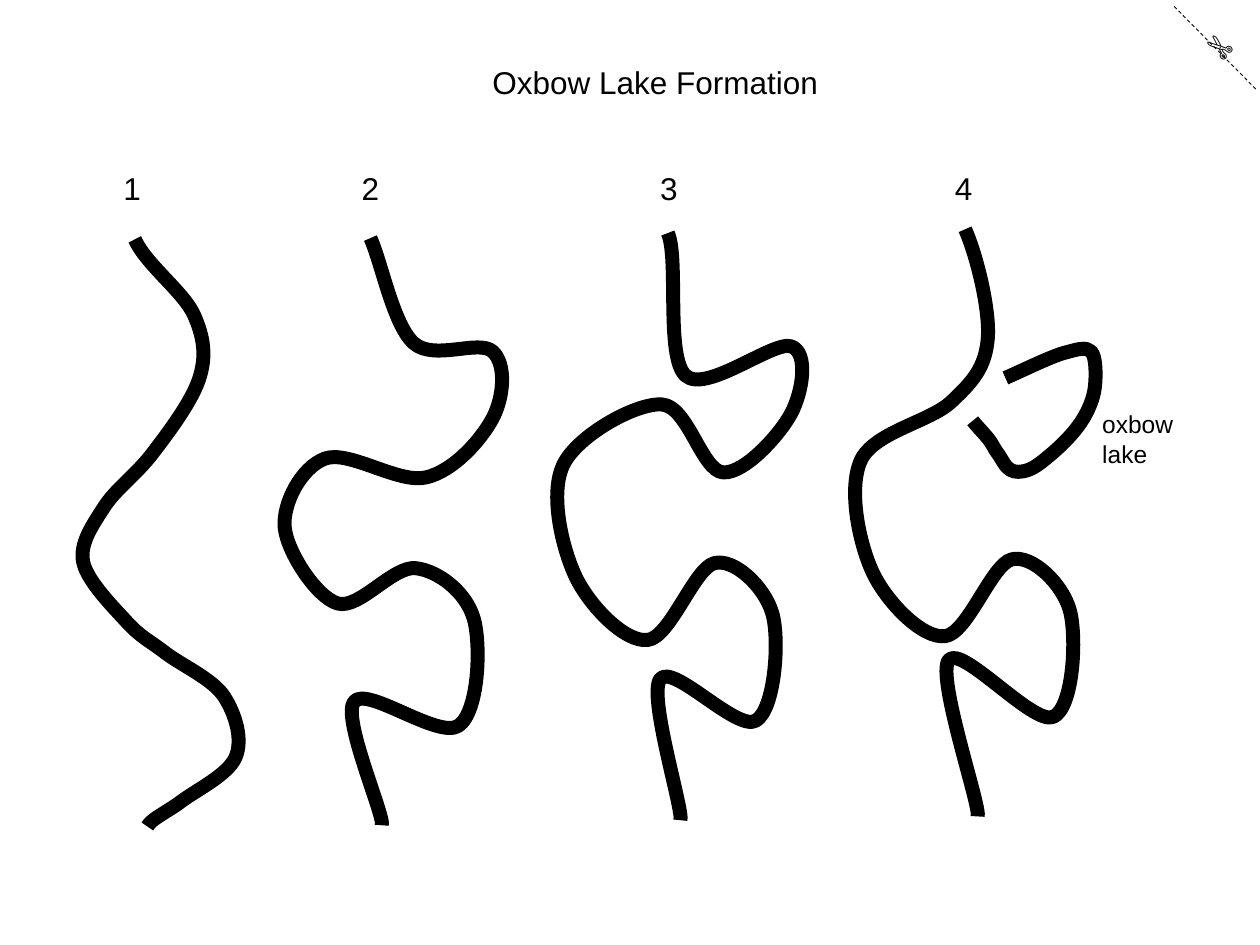
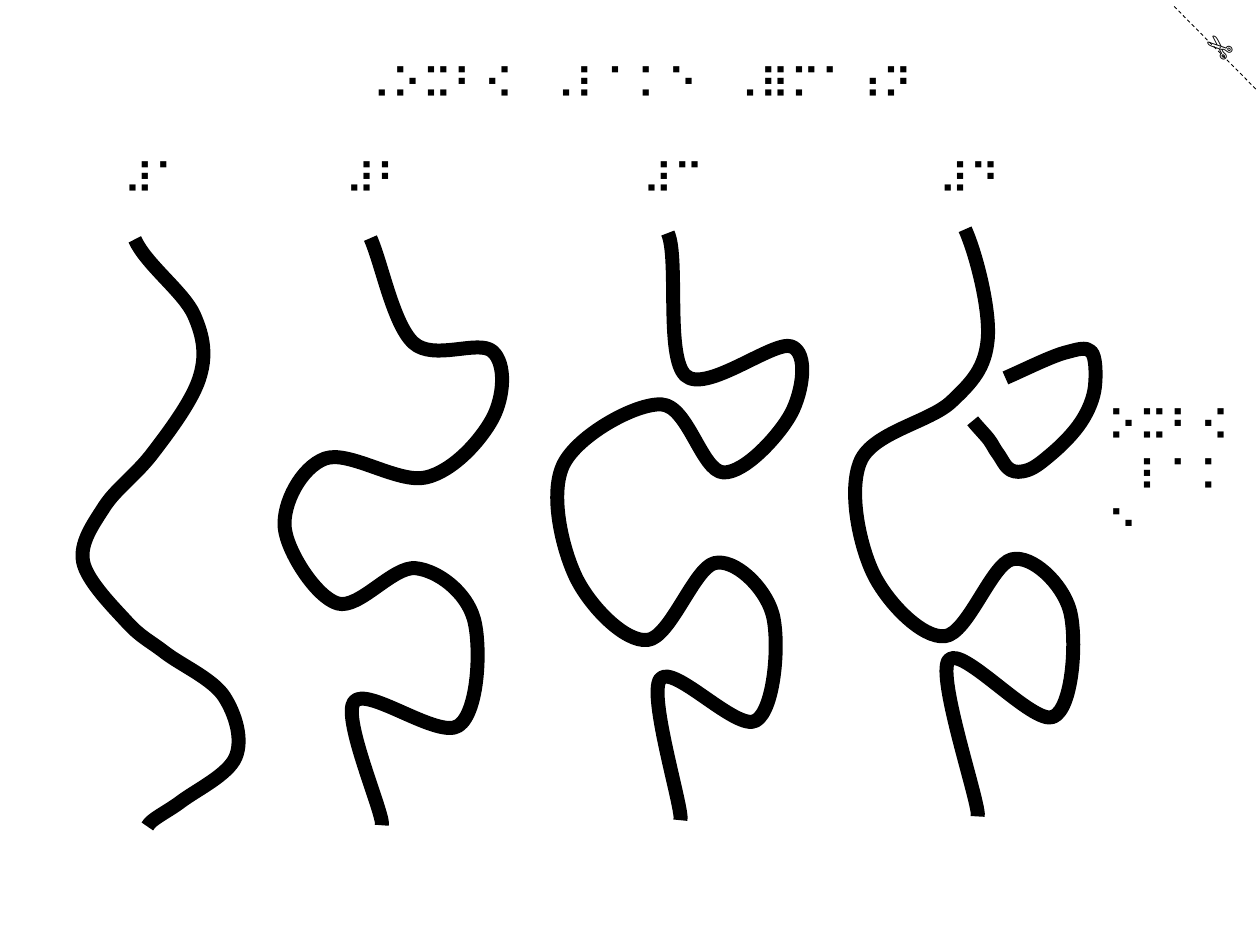
from lxml import etree
from pptx import Presentation
from pptx import util as u
from pptx.dml.color import RGBColor
from pptx.enum import dml, shapes, text
from pptx.oxml import ns

INK = {"line": "000000", "text": "000000", "page": "FFFFFF"}


def shift(points, right, down):
    return [(x + right, y + down) for x, y in points]


BEND = [(447, 369), (457, 458), (514, 508), (567, 447), (613, 487), (600, 572)]
RIVERS = [
    [(107, 190), (154, 250), (158, 301), (121, 360), (83, 402), (66, 446),
     (101, 494), (131, 518), (178, 553), (187, 601), (144, 636), (117, 656)],
    [(294, 189), (328, 272), (391, 279), (391, 332), (338, 379), (258, 364),
     (226, 419), (268, 479), (330, 451), (376, 491), (364, 576), (281, 557),
     (303, 655)],
    [(530, 185), (544, 298), (628, 275), (628, 328), (574, 375), (525, 321),
     *BEND, (524, 539), (540, 651)],
    [(766, 182), (784, 269), (755, 319), *shift(BEND, 236, -3), (753, 524), (776, 648)],
]
OXBOW = [(798, 300), (845, 280), (866, 279), (869, 307), (858, 335), (836, 359),
         (816, 373), (802, 373), (792, 360), (785, 349), (772, 334)]


def bends(knots, lead, tail):
    last = len(knots) - 1
    slopes = [
        tuple((b - a) / 6 for a, b in zip(knots[max(i - 1, 0)], knots[min(i + 1, last)]))
        for i in range(last + 1)
    ]
    slopes[0] = lead or tuple(2 * d for d in slopes[0])
    slopes[-1] = tail or tuple(2 * d for d in slopes[-1])
    for i in range(last):
        (x, y), (dx, dy) = knots[i], slopes[i]
        (nx, ny), (ex, ey) = knots[i + 1], slopes[i + 1]
        yield (x + dx, y + dy), (nx - ex, ny - ey), (nx, ny)


def write(box, words, font="Arial", size=18, align=None, wrap=True):
    frame = box.text_frame
    frame.word_wrap = wrap
    frame.auto_size = text.MSO_AUTO_SIZE.SHAPE_TO_FIT_TEXT
    para = frame.paragraphs[0]
    para.alignment = align
    run = para.add_run()
    run.text = words
    run.font.name = font
    run.font.size = u.Pt(size)
    run.font.color.rgb = RGBColor.from_string(INK["text"])


class Page:
    def __init__(self, deck, font, size):
        self.slide = deck.slides.add_slide(deck.slide_layouts[6])
        fill = self.slide.background.fill
        fill.solid()
        fill.fore_color.rgb = RGBColor.from_string(INK["page"])
        self.style = {"font": font, "size": size}

    def label(self, words, area, turn=0, **style):
        box = self.slide.shapes.add_textbox(*map(u.Cm, area))
        box.rotation = turn
        write(box, words, **{**self.style, **style})

    def title(self, words, area):
        self.label(words, area, align=text.PP_ALIGN.CENTER)

    def stroke(self, item, width):
        item.line.color.rgb = RGBColor.from_string(INK["line"])
        item.line.width = u.Pt(width)

    def corner(self, font):
        ends = map(u.Cm, (23.67, 0.13, 25.35, 1.83))
        cut = self.slide.shapes.add_connector(shapes.MSO_CONNECTOR.STRAIGHT, *ends)
        self.stroke(cut, 0.5)
        cut.line.dash_style = dml.MSO_LINE.DASH
        etree.SubElement(cut._element.spPr, ns.qn("a:effectLst"))
        self.label("✄", (24.03, 0.46, 1.07, 1.02), turn=220.5, font=font, size=18)

    def curve(self, home, knots, lead=None, tail=None):
        left, top = (min(axis) for axis in zip(*knots))
        pen = home.build_freeform(*knots[0], scale=u.Cm(2.54) / 100)
        pen.add_line_segments(knots[1:], close=False)
        item = pen.convert_to_shape()
        legs = list(item._element.iter(ns.qn("a:lnTo")))
        for leg, points in zip(legs, bends(knots, lead, tail)):
            bend = etree.Element(ns.qn("a:cubicBezTo"))
            for x, y in points:
                etree.SubElement(bend, ns.qn("a:pt"),
                                 x=str(round(x - left)), y=str(round(y - top)))
            leg.getparent().replace(leg, bend)
        item.shadow.inherit = False
        item.fill.background()
        self.stroke(item, 8)

    def rivers(self):
        group = self.slide.shapes.add_group_shape()
        for knots in RIVERS:
            self.curve(group.shapes, knots, lead=(9, 20), tail=(-3, 6))
        self.curve(self.slide.shapes, OXBOW)


def main():
    deck = Presentation()
    deck.slide_width, deck.slide_height = u.Cm(25.4), u.Cm(19.05)

    page = Page(deck, "Arial", 18)
    page.corner("Arial")
    page.title("Oxbow Lake Formation", (7.19, 1.14, 12.04, 1.02))
    page.rivers()
    for mark, left in zip("1234", (2.24, 7.04, 13.06, 19)):
        page.label(mark, (left, 3.28, 0.94, 1.02))
    page.label("oxbow lake", (21.97, 8.13, 2.49, 1.45), size=14)

    page = Page(deck, "Roboto", 24)
    page.corner("Calibri")
    page.title("⠠⠕⠭⠃⠪⠀⠠⠇⠁⠅⠑⠀⠠⠿⠍⠁⠰⠝", (6.81, 1.04, 12.04, 1.27))
    page.rivers()
    page.label("⠼⠁", (2.24, 2.95, 2.9, 1.27))
    for mark, left in zip("⠃⠉⠙", (6.71, 12.7, 18.67)):
        page.label("⠼" + mark, (left, 2.95, 1.75, 1.27), wrap=False)
    page.label("⠕⠭⠃⠪⠀⠇⠁⠅⠑", (22.07, 7.92, 3.58, 2.31))

    deck.save("out.pptx")


if __name__ == "__main__":
    main()
